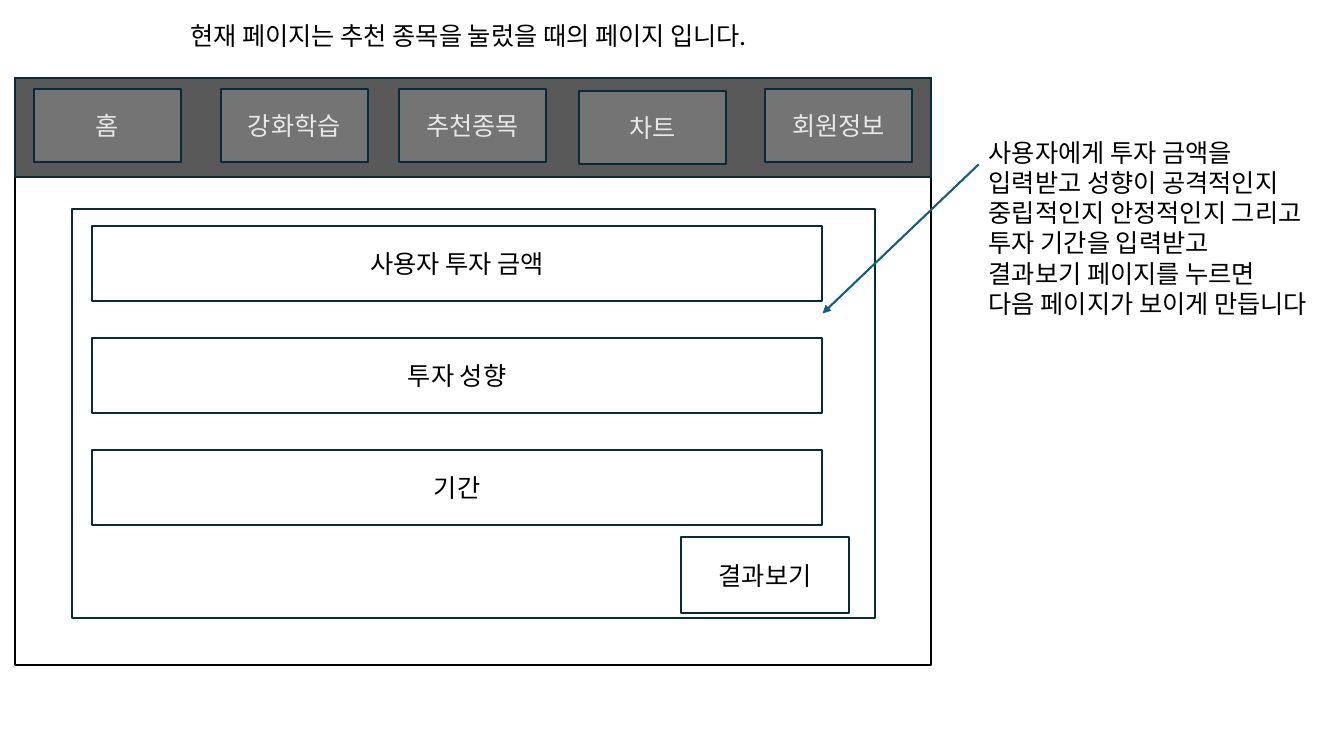
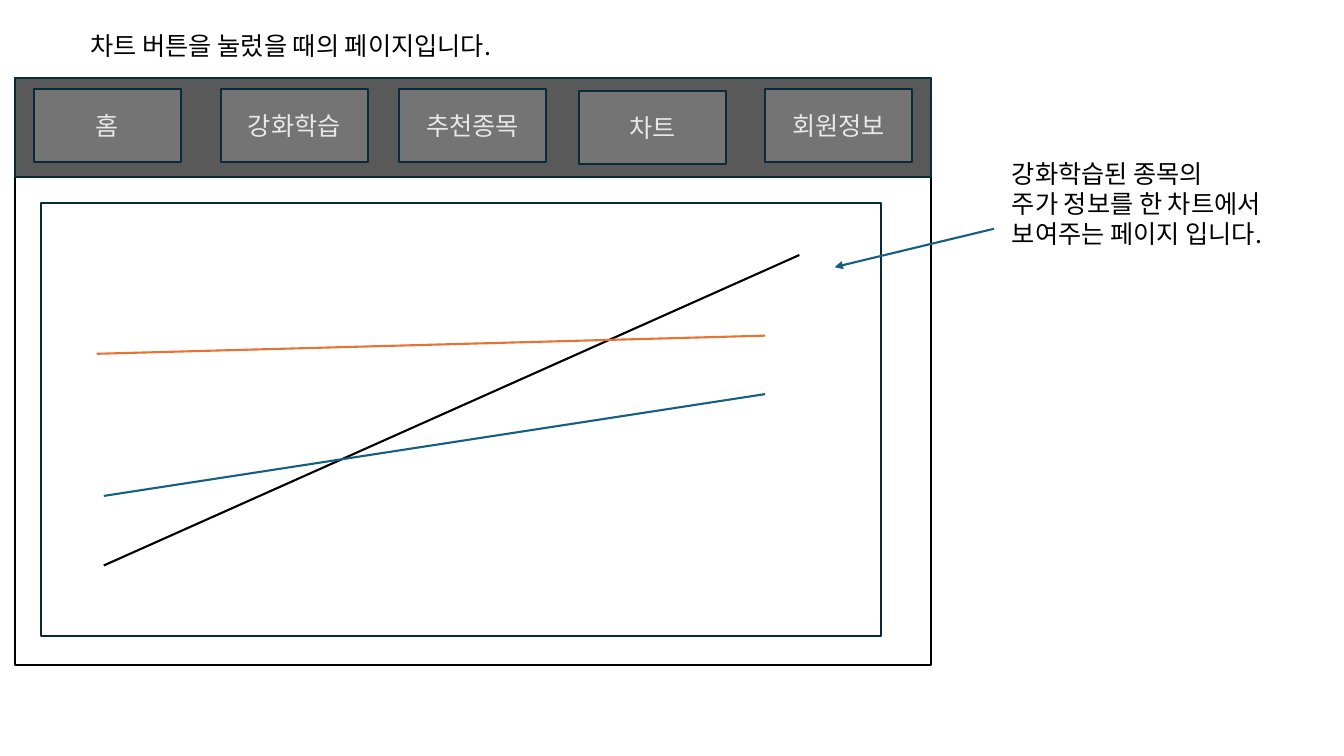
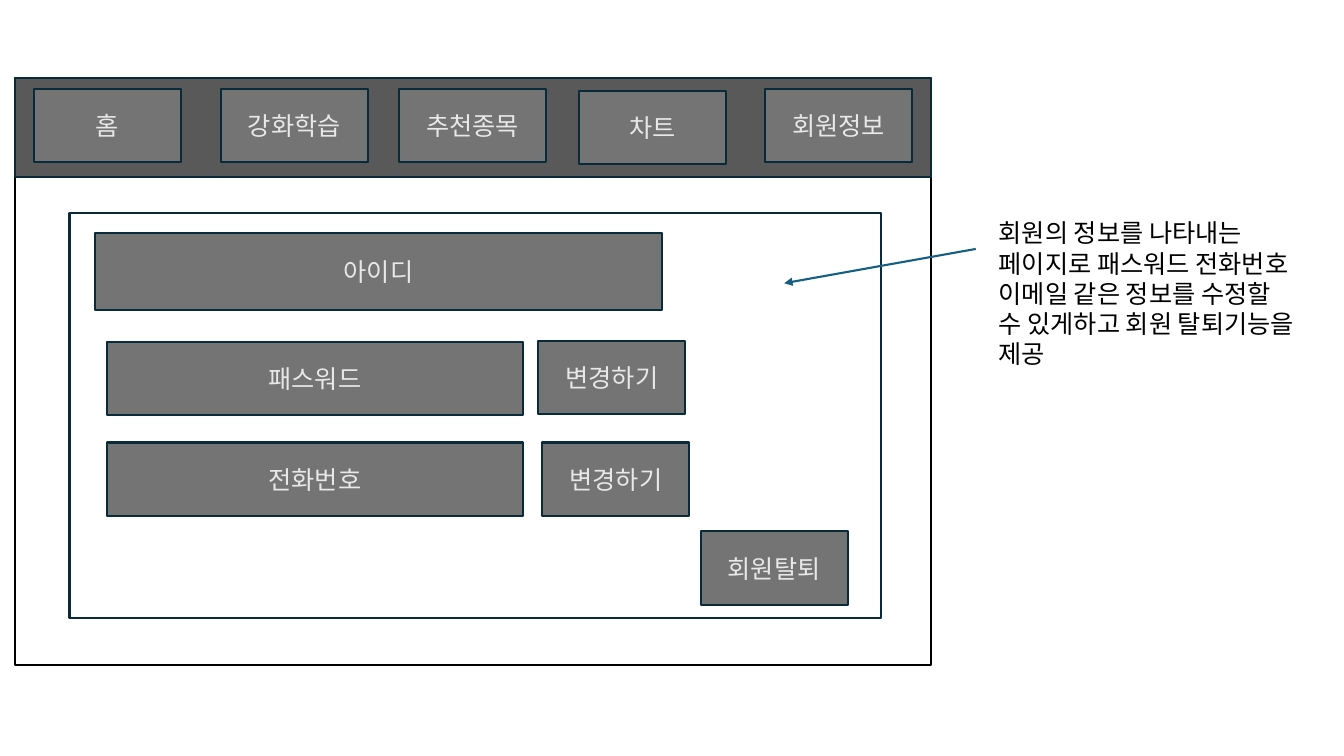
"""Builds three wireframe slides for a stock recommendation site."""
from lxml.etree import SubElement
from pptx import Presentation
from pptx.dml.color import RGBColor
from pptx.enum.shapes import MSO_CONNECTOR, MSO_SHAPE
from pptx.enum.text import MSO_ANCHOR, PP_ALIGN
from pptx.oxml.ns import qn
from pptx.util import Inches, Pt

FONT = "Noto Sans CJK KR"
BLACK = RGBColor(0x00, 0x00, 0x00)
WHITE = RGBColor(0xFF, 0xFF, 0xFF)
PALE = RGBColor(0xE8, 0xE8, 0xE8)
GRAY = RGBColor(0x74, 0x74, 0x74)
DARK_GRAY = RGBColor(0x59, 0x59, 0x59)
NAVY = RGBColor(0x09, 0x2A, 0x39)
BLUE = RGBColor(0x15, 0x60, 0x82)
ORANGE = RGBColor(0xE9, 0x71, 0x32)

deck = Presentation()
deck.slide_width, deck.slide_height = Inches(13.33), Inches(7.5)
COLUMN = deck.slide_width / 40
ROW = deck.slide_height / 30
BUTTON = (4.38, 2.92)


def add_box(page, left, top, width, height, text="", fill=None, outline=NAVY):
    place = (int(left * COLUMN), int(top * ROW), int(width * COLUMN), int(height * ROW))
    if fill is None:
        box = page.shapes.add_textbox(*place)
    else:
        box = page.shapes.add_shape(MSO_SHAPE.RECTANGLE, *place)
        box.shadow.inherit = False
        box.fill.solid()
        box.fill.fore_color.rgb = fill
        box.line.color.rgb = outline
        box.line.width = Pt(1.5)
        box.text_frame.vertical_anchor = MSO_ANCHOR.MIDDLE
    if not text:
        return
    box.text_frame.word_wrap = True
    box.text_frame.text = text
    for para in box.text_frame.paragraphs:
        para.alignment = PP_ALIGN.LEFT if fill is None else PP_ALIGN.CENTER
        para.line_spacing = Pt(21.6)
        para.font.size = Pt(18)
        para.font.color.rgb = PALE if fill == GRAY else BLACK
        para.font.name = FONT
        SubElement(para._p.pPr.find(qn("a:defRPr")), qn("a:ea"), typeface=FONT)


def add_line(page, start, end, color=BLUE, arrow=False):
    (left, top), (right, bottom) = start, end
    line = page.shapes.add_connector(
        MSO_CONNECTOR.STRAIGHT, int(left * COLUMN), int(top * ROW), int(right * COLUMN), int(bottom * ROW))
    line.line.color.rgb = color
    line.line.width = Pt(1.5)
    if arrow:
        SubElement(line.line._get_or_add_ln(), qn("a:tailEnd"), type="triangle")
    SubElement(line._element.spPr, qn("a:effectLst"))


menu = [("홈", 1, 3.52), ("강화학습", 6.57, 3.52), ("추천종목", 11.88, 3.52),
        ("차트", 17.22, 3.6), ("회원정보", 22.77, 3.52)]
panels = [(2.13, 8.28, 23.91, 16.24), (1.23, 8.04, 24.99, 17.2), (2.07, 8.44, 24.15, 16.08)]
pages = []
for panel in panels:
    page = deck.slides.add_slide(deck.slide_layouts[6])
    add_box(page, 0.45, 3.08, 27.27, 23.32, fill=WHITE, outline=BLACK)
    add_box(page, 0.45, 3.08, 27.27, 3.96, fill=DARK_GRAY)
    for name, left, top in menu:
        add_box(page, left, top, *BUTTON, name, GRAY)
    add_box(page, *panel, fill=WHITE)
    pages.append(page)
recommend_page, chart_page, member_page = pages

for index, field in enumerate(["사용자 투자 금액", "투자 성향", "기간"]):
    add_box(recommend_page, 2.73, 8.96 + 4.44 * index, 21.75, 3, field, WHITE)
add_box(recommend_page, 20.28, 21.32, 4.98, 3, "결과보기", WHITE)
add_box(recommend_page, 5.37, 0.6, 24.66, 1.6, "현재 페이지는 추천 종목을 눌렀을 때의 페이지 입니다.")

for start, end, color in [((3.09, 22.44), (23.79, 10.12), BLACK),
                          ((3.09, 19.68), (22.77, 15.64), BLUE),
                          ((2.88, 14.04), (22.77, 13.32), ORANGE)]:
    add_line(chart_page, start, end, color)
add_box(chart_page, 2.4, 1, 13.95, 1.6, "차트 버튼을 눌렀을 때의 페이지입니다.")

add_box(member_page, 2.82, 9.24, 16.89, 3.08, "아이디", GRAY)
for field, top, button_left, button_top in [("패스워드", 13.56, 16.02, 13.52),
                                            ("전화번호", 17.56, 16.14, 17.56)]:
    add_box(member_page, 3.18, top, 12.39, 2.92, field, GRAY)
    add_box(member_page, button_left, button_top, *BUTTON, "변경하기", GRAY)
add_box(member_page, 20.85, 21.08, *BUTTON, "회원탈퇴", GRAY)

notes = [
    (recommend_page, (29.13, 6.52), (24.48, 12.44), (29.13, 5.24, 10.8, 7.68),
     ["사용자에게 투자 금액을", "입력받고 성향이 공격적인지", "중립적인지 안정적인지 그리고",
      "투자 기간을 입력받고", "결과보기 페이지를 누르면", "다음 페이지가 보이게 만듭니다"]),
    (chart_page, (29.58, 9.08), (24.84, 10.6), (29.82, 6.08, 8.97, 4.04),
     ["강화학습된 종목의", "주가 정보를 한 차트에서", "보여주는 페이지 입니다."]),
    (member_page, (29.04, 9.88), (23.34, 11.24), (29.43, 8.44, 10.5, 6.48),
     ["회원의 정보를 나타내는", "페이지로 패스워드 전화번호", "이메일 같은 정보를 수정할",
      "수 있게하고 회원 탈퇴기능을", "제공"]),
]
for page, start, end, place, lines in notes:
    add_line(page, start, end, arrow=True)
    add_box(page, *place, "\n".join(lines))

deck.save("out.pptx")
